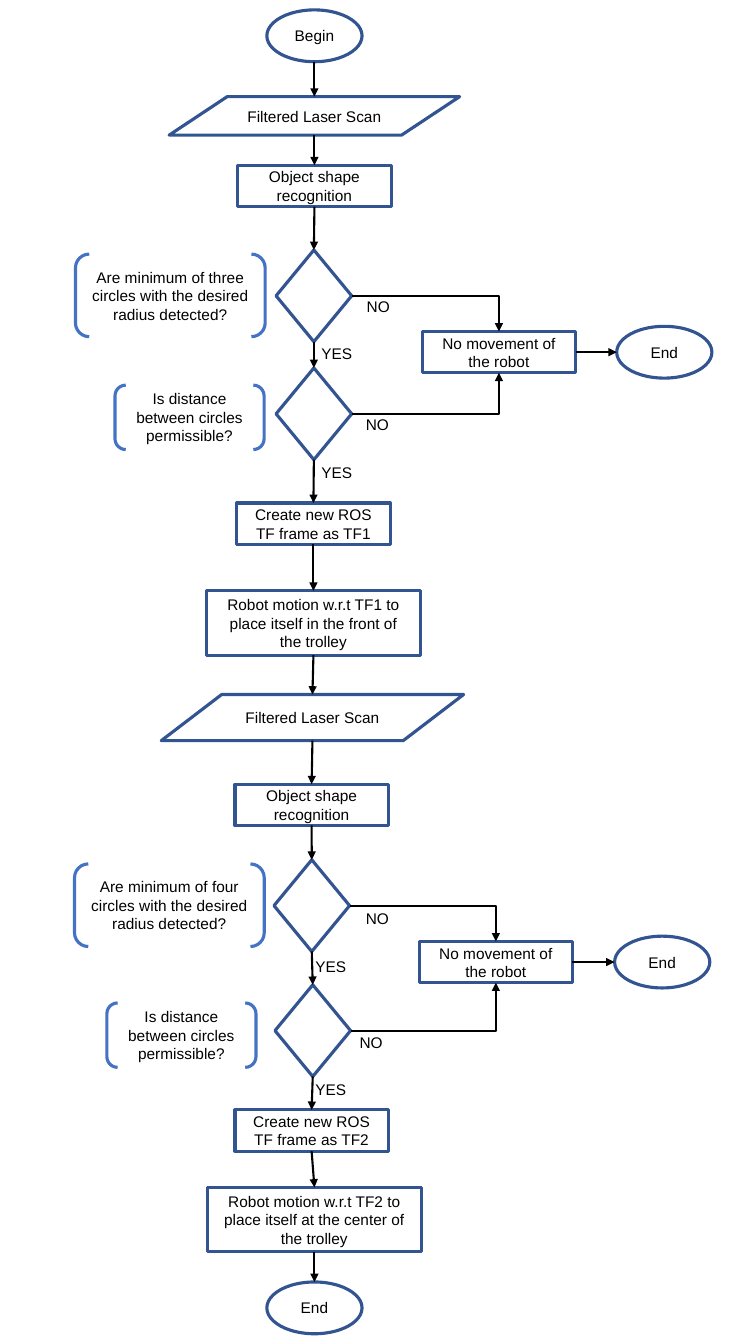
from lxml import etree
from pptx import Presentation
from pptx import util as u
from pptx.dml.color import RGBColor
from pptx.enum import shapes, text
from pptx.oxml.ns import qn

NAVY, BLUE, BLACK, WHITE = "325491", "4472C4", "000000", "FFFFFF"
SHAPE = shapes.MSO_SHAPE
FONT = {"name": "Arial", "size": u.Pt(11)}

# Kind of node: preset, width, height, outline, fill, side margin
KINDS = {
    "terminal": (SHAPE.OVAL, 68, 37, NAVY, WHITE, 7.2),
    "scan": (SHAPE.FLOWCHART_DATA, 207.5, 27.5, NAVY, WHITE, 7.2),
    "wide scan": (SHAPE.FLOWCHART_DATA, 216, 33, NAVY, WHITE, 7.2),
    "process": (SHAPE.FLOWCHART_PROCESS, 109.5, 29.5, NAVY, WHITE, 7.2),
    "motion": (SHAPE.FLOWCHART_PROCESS, 152.5, 46, NAVY, WHITE, 9),
    "decision": (SHAPE.FLOWCHART_DECISION, 54, 65.5, NAVY, WHITE, 7.2),
    "question": (SHAPE.DOUBLE_BRACKET, 135.5, 59, BLUE, None, 7.2),
    "short question": (SHAPE.DOUBLE_BRACKET, 106.5, 46, BLUE, None, 7.2),
}

# Connection sites; most presets count top, left, bottom, right
SIDES = {"top": 0, "left": 1, "bottom": 2, "right": 3}
SPECIAL_SITES = {
    SHAPE.OVAL: {"top": 0, "left": 2, "bottom": 4, "right": 6},
    SHAPE.FLOWCHART_DATA: {"top": 1, "left": 2, "bottom": 4, "right": 5},
}

# Each stage: node name -> (kind, centre x, centre y, wording)
STAGES = [
    {
        "nodes": {
            "scan": ("scan", 224.6, 82.8, "Filtered Laser Scan"),
            "recognise": ("process", 224.6, 132.8, "Object shape recognition"),
            "enough": ("decision", 224.2, 211.3, ""),
            "spaced": ("decision", 224.2, 295.6, ""),
            "frame": ("process", 223.9, 374, "Create new ROS TF frame as TF1"),
            "move": ("motion", 223.9, 445,
                     "Robot motion w.r.t TF1 to place itself in the front of the trolley"),
            "stop": ("process", 356.4, 251.6, "No movement of the robot"),
            "end": ("terminal", 474.5, 251.6, "End"),
            "ask count": ("question", 121.7, 211,
                          "Are minimum of three circles with the desired radius detected?"),
            "ask distance": ("short question", 135.4, 298.1,
                             "Is distance between circles permissible?"),
        },
        "labels": [("NO", 254.9, 208.8), ("YES", 222.5, 242.6),
                   ("NO", 254.2, 293), ("YES", 222.5, 327.6)],
    },
    {
        "nodes": {
            "scan": ("wide scan", 223.2, 512.6, "Filtered Laser Scan"),
            "recognise": ("process", 222.6, 574.9, "Object shape recognition"),
            "enough": ("decision", 222.7, 646.9, ""),
            "spaced": ("decision", 223.4, 736.2, ""),
            "frame": ("process", 222.6, 807.5, "Create new ROS TF frame as TF2"),
            "move": ("motion", 224.6, 871.2,
                     "Robot motion w.r.t TF2 to place itself at the center of the trolley"),
            "stop": ("process", 354.2, 687.2, "No movement of the robot"),
            "end": ("terminal", 473, 687.2, "End"),
            "ask count": ("question", 121, 646.6,
                          "Are minimum of four circles with the desired radius detected?"),
            "ask distance": ("short question", 129.6, 739.4,
                             "Is distance between circles permissible?"),
        },
        "labels": [("NO", 254.2, 645.8), ("YES", 218.2, 680.4),
                   ("NO", 249.8, 734.4), ("YES", 218.2, 768.2)],
    },
]
MAIN_PATH = ["scan", "recognise", "enough", "spaced", "frame", "move"]


def color(hex_string):
    return RGBColor.from_string(hex_string)


def apply(target, values):
    for name, value in values.items():
        setattr(target, name, value)


def write(box, wording, align, frame_format):
    frame = box.text_frame
    apply(frame, {"word_wrap": True, **frame_format})
    para = frame.paragraphs[0]
    para.alignment = align
    span = para.add_run()
    span.text = wording
    apply(span.font, FONT)
    span.font.color.rgb = color(BLACK)


def add_node(page, kind, center_x, center_y, wording):
    preset, width, height, outline, fill, margin = KINDS[kind]
    box = page.shapes.add_shape(
        preset, u.Pt(center_x - width / 2), u.Pt(center_y - height / 2),
        u.Pt(width), u.Pt(height))
    box.shadow.inherit = False
    box.line.color.rgb = color(outline)
    box.line.width = u.Pt(2.25)
    if fill:
        box.fill.solid()
        box.fill.fore_color.rgb = color(fill)
    else:
        box.fill.background()
    if wording:
        write(box, wording, text.PP_ALIGN.CENTER, {
            "vertical_anchor": text.MSO_ANCHOR.MIDDLE,
            "margin_left": u.Pt(margin), "margin_right": u.Pt(margin)})
    return box


def add_label(page, wording, left, top):
    box = page.shapes.add_textbox(u.Pt(left), u.Pt(top), u.Pt(45.4), u.Pt(20.9))
    write(box, wording, text.PP_ALIGN.LEFT,
          {"auto_size": text.MSO_AUTO_SIZE.SHAPE_TO_FIT_TEXT})


def site(box, side):
    return SPECIAL_SITES.get(box.auto_shape_type, SIDES)[side]


def add_arrow(page, start, start_side, finish, finish_side, bent=False):
    kind = shapes.MSO_CONNECTOR.ELBOW if bent else shapes.MSO_CONNECTOR.STRAIGHT
    arrow = page.shapes.add_connector(kind, 0, 0, 0, 0)
    arrow.begin_connect(start, SIDES[start_side])
    arrow.end_connect(finish, SIDES[finish_side])
    arrow.line.color.rgb = color(BLACK)
    arrow.line.width = u.Pt(1.5)
    # Glue to the preset's own site numbers
    ends = arrow._element.nvCxnSpPr.cNvCxnSpPr
    ends.stCxn.idx = site(start, start_side)
    ends.endCxn.idx = site(finish, finish_side)
    # One-corner elbow, arrowhead and no shadow
    properties = arrow._element.spPr
    if bent:
        properties.find(qn("a:prstGeom")).set("prst", "bentConnector2")
    etree.SubElement(properties.find(qn("a:ln")), qn("a:tailEnd"), type="triangle")
    etree.SubElement(properties, qn("a:effectLst"))


def add_stage(page, stage, previous):
    """Draw one stage below the previous node and return its last node."""
    nodes = {name: add_node(page, *node) for name, node in stage["nodes"].items()}
    # Main path downwards
    for name in MAIN_PATH:
        add_arrow(page, previous, "bottom", nodes[name], "top")
        previous = nodes[name]
    # Branches to the stop
    add_arrow(page, nodes["enough"], "right", nodes["stop"], "top", bent=True)
    add_arrow(page, nodes["spaced"], "right", nodes["stop"], "bottom", bent=True)
    add_arrow(page, nodes["stop"], "right", nodes["end"], "left")
    for label in stage["labels"]:
        add_label(page, *label)
    return previous


def main():
    deck = Presentation()
    deck.slide_width, deck.slide_height = u.Pt(540), u.Pt(960)
    page = deck.slides.add_slide(deck.slide_layouts[6])

    last = add_node(page, "terminal", 224.6, 25.6, "Begin")
    for stage in STAGES:
        last = add_stage(page, stage, last)
    end = add_node(page, "terminal", 224.6, 934.2, "End")
    add_arrow(page, last, "bottom", end, "top")

    deck.save("out.pptx")


main()
